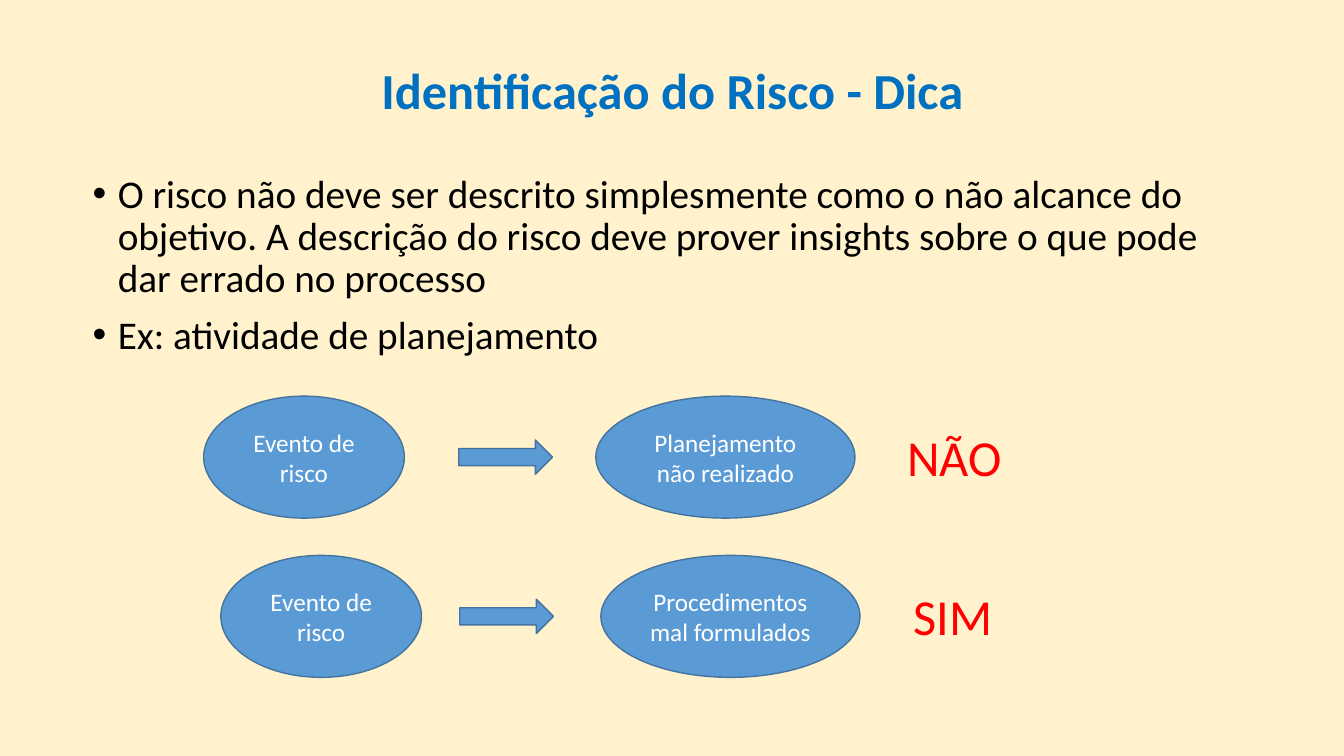
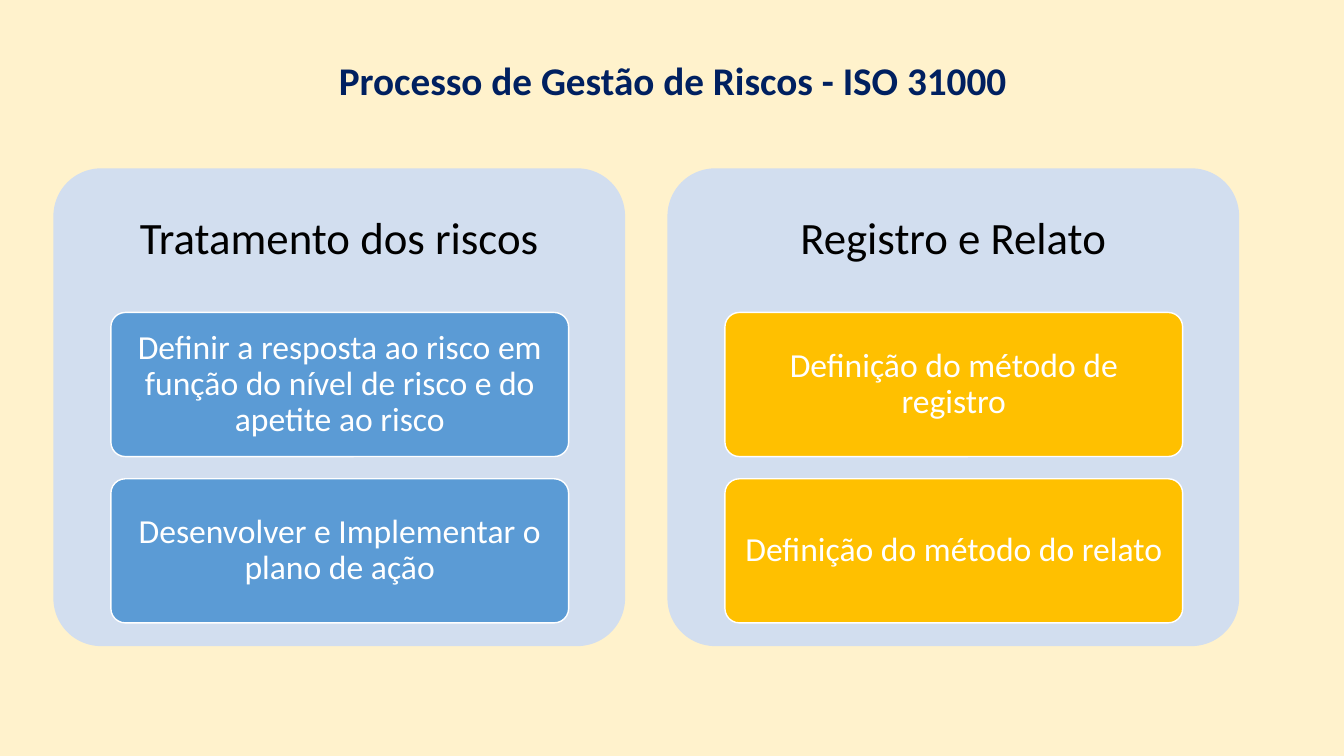
from dataclasses import dataclass
from typing import Any

from pptx import Presentation
from pptx.dml.color import RGBColor
from pptx.enum.shapes import MSO_SHAPE as SHAPE
from pptx.enum.text import MSO_ANCHOR as ANCHOR, PP_ALIGN as ALIGN
from pptx.oxml.ns import qn
from pptx.util import Inches, Pt

COLORS = {
    "background": "FFF2CC",
    "title": "0070C0",
    "navy": "002060",
    "text": "000000",
    "white": "FFFFFF",
    "verdict": "FF0000",
    "blue": "5B9BD5",
    "outline": "43739E",
    "panel": "D2DEEF",
    "gold": "FFC000",
}
FONT = "Calibri"


@dataclass(frozen=True)
class Box:
    left: float
    top: float
    width: float
    height: float

    def lengths(self) -> tuple:
        return tuple(map(Inches, (self.left, self.top, self.width, self.height)))


@dataclass(frozen=True)
class Example:
    top: float
    event_left: float
    arrow_left: float
    outcome_left: float
    outcome: str
    verdict: str
    verdict_box: Box


@dataclass(frozen=True)
class Panel:
    heading: str
    color: str
    cards: tuple[str, ...]


EXAMPLES = (
    Example(3.93, 2.02, 4.55, 5.91, "Planejamento não realizado",
            "NÃO", Box(8.9, 4.18, 1.48, 0.71)),
    Example(5.51, 2.19, 4.56, 5.96, "Procedimentos mal formulados",
            "SIM", Box(8.96, 5.76, 1.23, 0.71)),
)
PANELS = (
    Panel("Tratamento dos riscos", "blue", (
        "Definir a resposta ao risco em função do nível de risco e do apetite ao risco",
        "Desenvolver e Implementar o plano de ação",
    )),
    Panel("Registro e Relato", "gold", (
        "Definição do método de registro",
        "Definição do método do relato",
    )),
)
TIPS = (
    "O risco não deve ser descrito simplesmente como o não alcance do objetivo. "
    "A descrição do risco deve prover insights sobre o que pode dar errado no processo",
    "Ex: atividade de planejamento",
)


def rgb(name: str) -> RGBColor:
    return RGBColor.from_string(COLORS[name])


def apply(target: Any, values: dict[str, Any]) -> None:
    for name, value in values.items():
        setattr(target, name, value)


def write(p: Any, text: str, size: float, color: str, bold: bool = False, **layout: Any) -> None:
    apply(p, layout)
    r = p.add_run()
    r.text = text
    apply(r.font, {"name": FONT, "size": Pt(size), "bold": bold})
    r.font.color.rgb = rgb(color)


def set_frame(tf: Any, anchor: Any, inset_x: float = 0.1, inset_y: float = 0.05) -> None:
    apply(tf, {
        "word_wrap": True, "vertical_anchor": anchor,
        "margin_left": Inches(inset_x), "margin_right": Inches(inset_x),
        "margin_top": Inches(inset_y), "margin_bottom": Inches(inset_y),
    })


def add_slide(prs: Any, title: str, height: float, size: float, color: str) -> Any:
    s = prs.slides.add_slide(prs.slide_layouts[5])
    sp = s.shapes.title
    names = ("left", "top", "width", "height")
    apply(sp, dict(zip(names, Box(0.92, 0.4, 11.5, height).lengths())))
    set_frame(sp.text_frame, ANCHOR.MIDDLE)
    write(sp.text_frame.paragraphs[0], title, size, color, bold=True,
          alignment=ALIGN.CENTER, line_spacing=0.9)
    return s


def add_text(s: Any, box: Box, anchor: Any = ANCHOR.TOP, inset_x: float = 0.1,
             inset_y: float = 0.05) -> Any:
    tf = s.shapes.add_textbox(*box.lengths()).text_frame
    set_frame(tf, anchor, inset_x, inset_y)
    return tf


def add_shape(s: Any, kind: Any, box: Box, fill: str, line: str | None = None) -> Any:
    sp = s.shapes.add_shape(kind, *box.lengths())
    sp.shadow.inherit = False
    sp.fill.solid()
    sp.fill.fore_color.rgb = rgb(fill)
    if line:
        sp.line.color.rgb = rgb(line)
        sp.line.width = Pt(1)
    else:
        sp.line.fill.background()
    return sp


def add_rounded(s: Any, box: Box, fill: str, line: str | None = None) -> Any:
    sp = add_shape(s, SHAPE.ROUNDED_RECTANGLE, box, fill, line)
    sp.adjustments[0] = 0.1
    return sp


def add_ellipse(s: Any, box: Box, text: str) -> None:
    tf = add_shape(s, SHAPE.OVAL, box, "blue", "outline").text_frame
    set_frame(tf, ANCHOR.MIDDLE)
    write(tf.paragraphs[0], text, 18, "white", alignment=ALIGN.CENTER)


def add_bullet(p: Any) -> None:
    pPr = p._p.get_or_add_pPr()
    pPr.set("marL", str(Inches(0.25)))
    pPr.set("indent", str(-Inches(0.25)))
    font = pPr.makeelement(qn("a:buFont"), {"typeface": "Arial"})
    char = pPr.makeelement(qn("a:buChar"), {"char": "•"})
    pPr.extend((font, char))


def add_example(s: Any, ex: Example) -> None:
    height, arrow_height = 1.21, 0.34
    add_ellipse(s, Box(ex.event_left, ex.top, 1.99, height), "Evento de risco")
    arrow_top = ex.top + (height - arrow_height) / 2
    add_shape(s, SHAPE.RIGHT_ARROW, Box(ex.arrow_left, arrow_top, 0.93, arrow_height),
              "blue", "outline")
    add_ellipse(s, Box(ex.outcome_left, ex.top, 2.57, height), ex.outcome)
    write(add_text(s, ex.verdict_box).paragraphs[0], ex.verdict, 36, "verdict")


def add_panel(s: Any, panel: Panel, left: float) -> None:
    top, width = 1.67, 5.67
    add_rounded(s, Box(left, top, width, 4.74), "panel")
    tf = add_text(s, Box(left, top, width, 1.42), ANCHOR.MIDDLE, 0.13, 0.13)
    write(tf.paragraphs[0], panel.heading, 32, "text",
          alignment=ALIGN.CENTER, line_spacing=0.9)
    for i, text in enumerate(panel.cards):
        box = Box(left + 0.57, 3.1 + i * 1.65, 4.54, 1.43)
        tf = add_rounded(s, box, panel.color, "white").text_frame
        set_frame(tf, ANCHOR.MIDDLE, 0.07, 0.05)
        write(tf.paragraphs[0], text, 24, "white", alignment=ALIGN.CENTER, line_spacing=0.9)


def build_tip(prs: Any) -> None:
    s = add_slide(prs, "Identificação do Risco - Dica", 1.04, 36, "title")
    tf = add_text(s, Box(0.82, 1.68, 11.5, 2))
    for i, tip in enumerate(TIPS):
        p = tf.add_paragraph() if i else tf.paragraphs[0]
        add_bullet(p)
        write(p, tip, 28, "text", line_spacing=0.9, space_before=Pt(10 if i else 0))
    for ex in EXAMPLES:
        add_example(s, ex)


def build_process(prs: Any) -> None:
    s = add_slide(prs, "Processo de Gestão de Riscos - ISO 31000", 0.84, 28, "navy")
    for i, panel in enumerate(PANELS):
        add_panel(s, panel, 0.53 + i * 6.09)


def main() -> None:
    prs = Presentation()
    apply(prs, {"slide_width": Inches(13.33), "slide_height": Inches(7.5)})
    fill = prs.slide_master.background.fill
    fill.solid()
    fill.fore_color.rgb = rgb("background")
    build_tip(prs)
    build_process(prs)
    prs.save("out.pptx")


if __name__ == "__main__":
    main()
